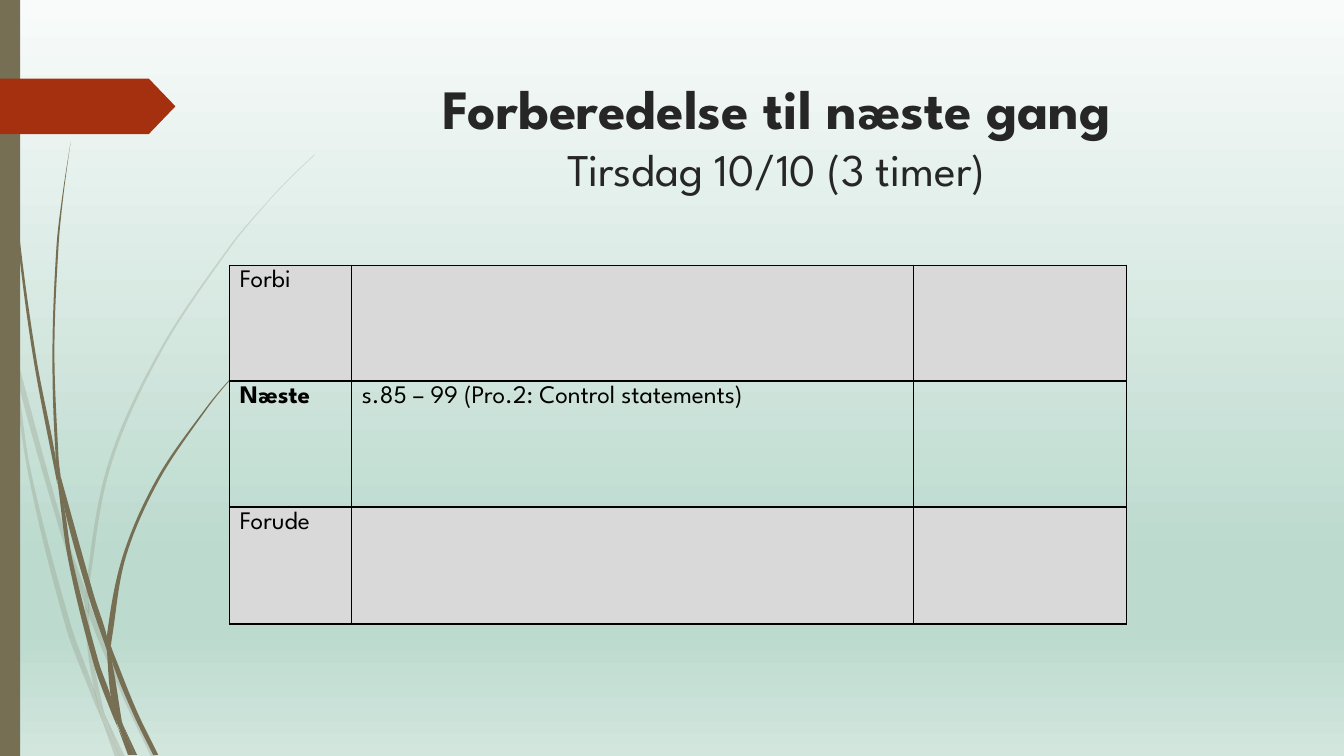
import lxml.etree
import pptx
import pptx.dml.color
import pptx.enum.shapes
import pptx.enum.text
import pptx.oxml.ns
import pptx.util

Inches = pptx.util.Inches
Pt = pptx.util.Pt
RGBColor = pptx.dml.color.RGBColor
qn = pptx.oxml.ns.qn

WIDTH, HEIGHT = 13.33, 7.5
FONT = "League Spartan"
OLIVE = RGBColor(0x76, 0x6F, 0x54)
RUST = RGBColor(0xA5, 0x30, 0x10)
CHARCOAL = RGBColor(0x26, 0x26, 0x26)
BLACK = RGBColor(0, 0, 0)
GREY = RGBColor(0xD9, 0xD9, 0xD9)
MINT = RGBColor(0xBC, 0xDA, 0xCE)
BACKGROUND_STOPS = [(0, RGBColor(0xF8, 0xFB, 0xFA)), (74, MINT), (83, MINT),
                    (100, RGBColor(0xD2, 0xE6, 0xDE))]

# Each piece of grass: its left edge and its right edge, both from top to bottom.
FAINT_GRASS = [
    ([(0, 2.99), (0.1, 3.44), (0.11, 3.5)], [(0, 2.82), (0.09, 3.22), (0.11, 3.5)]),
    ([(0.14, 3.45), (0.17, 3.76), (0.58, 5.22), (0.84, 5.99)],
     [(0.14, 3.45), (0.62, 5.2), (0.85, 5.86)]),
    ([(0.88, 5.96), (0.88, 6.1), (1.23, 6.94), (1.5, 7.51)],
     [(0.88, 5.96), (0.92, 6.07), (1.27, 6.92), (1.55, 7.51)]),
    ([(1.05, 7.11), (1.19, 7.51)], [(1.05, 7.11), (1.24, 7.51)]),
    ([(0.11, 3.5), (0.28, 4.7), (0.65, 6.21), (0.92, 6.93), (1.01, 7.14)],
     [(0.11, 3.5), (0.17, 3.76), (0.31, 4.69), (0.7, 6.19), (0.93, 6.83), (1.01, 7.14)]),
    ([(0.84, 5.99), (0.87, 6.46), (0.93, 6.83), (0.96, 6.92), (1.05, 7.11)],
     [(0.84, 5.99), (0.88, 6.1), (0.91, 6.46), (1.03, 7.06), (1.05, 7.11)]),
    ([(3.12, 1.53), (2.89, 1.75), (2.68, 1.97), (2.28, 2.44), (1.58, 3.48),
      (1.07, 4.61), (0.85, 5.84), (0.88, 5.96)],
     [(3.12, 1.54), (2.9, 1.75), (2.68, 1.98), (2.29, 2.45), (1.6, 3.49),
      (1.1, 4.62), (0.88, 5.84), (0.88, 5.96)]),
    ([(1.01, 7.14), (1.14, 7.51)], [(1.01, 7.14), (1.19, 7.51)]),
    ([(0.85, 5.86), (0.84, 5.99), (0.88, 6.1)], [(0.85, 5.86), (0.88, 5.96), (0.88, 6.1)]),
    ([(0.93, 6.83), (0.99, 7.07), (1.01, 7.14), (1.19, 7.51)],
     [(0.93, 6.83), (0.96, 6.92), (1.05, 7.11), (1.19, 7.51)]),
]
SOLID_GRASS = [
    ([(0.03, 0), (0.04, 0.48), (0.07, 1.1), (0.17, 2.33), (0.33, 3.55), (0.57, 4.81)],
     [(0.04, 0), (0.05, 0.48), (0.08, 1.09), (0.19, 2.32), (0.36, 3.55), (0.55, 4.53),
      (0.57, 4.81)]),
    ([(0.6, 4.72), (0.64, 5.05), (0.88, 5.92), (1.06, 6.45)],
     [(0.6, 4.72), (0.93, 5.9), (1.06, 6.31), (1.06, 6.45)]),
    ([(1.1, 6.41), (1.11, 6.56), (1.32, 7.08), (1.52, 7.49)],
     [(1.1, 6.41), (1.13, 6.49), (1.36, 7.06), (1.57, 7.49)]),
    ([(0.57, 4.77), (0.68, 5.57), (0.93, 6.59), (1.11, 7.08), (1.17, 7.22)],
     [(0.57, 4.77), (0.64, 5.05), (0.72, 5.56), (0.98, 6.57), (1.1, 6.91), (1.17, 7.22)]),
    ([(0.7, 1.41), (0.62, 1.93), (0.56, 2.45), (0.52, 3.49), (0.55, 4.49), (0.6, 4.72)],
     [(0.7, 1.41), (0.63, 1.93), (0.58, 2.45), (0.54, 3.49), (0.58, 4.53), (0.6, 4.72)]),
    ([(1.22, 7.19), (1.33, 7.49)], [(1.22, 7.19), (1.36, 7.49)]),
    ([(0.55, 4.49), (0.57, 4.77), (0.64, 5.05)], [(0.55, 4.49), (0.6, 4.72), (0.64, 5.05)]),
    ([(2.6, 3.44), (2.31, 3.73), (2.04, 4.05), (1.56, 4.74), (1.22, 5.51),
      (1.06, 6.31), (1.1, 6.41)],
     [(2.61, 3.44), (2.31, 3.74), (2.05, 4.06), (1.58, 4.76), (1.25, 5.52),
      (1.11, 6.33), (1.1, 6.41)]),
    ([(1.17, 7.22), (1.27, 7.49)], [(1.17, 7.22), (1.31, 7.49)]),
    ([(1.06, 6.45), (1.1, 6.91), (1.16, 7.06), (1.22, 7.19)],
     [(1.06, 6.45), (1.11, 6.56), (1.21, 7.16), (1.22, 7.19)]),
    ([(1.06, 6.31), (1.06, 6.45), (1.11, 6.56)], [(1.06, 6.31), (1.1, 6.41), (1.11, 6.56)]),
    ([(1.1, 6.91), (1.16, 7.17), (1.3, 7.49)], [(1.1, 6.91), (1.22, 7.19), (1.33, 7.49)]),
]

TABLE_ROWS = [("Forbi", "", ""),
              ("Næste", "s.85 – 99 (Pro.2: Control statements)", ""),
              ("Forude", "", "")]
COLUMN_WIDTHS = [1.21, 5.57, 2.11]
ROW_HEIGHTS = [1.15, 1.25, 1.16]
NEXT_ROW = 1


def set_font(font, color, **values):
    font.color.rgb = color
    for name, value in {"name": FONT, **values}.items():
        setattr(font, name, value)


def paint(shape, color, opacity=100):
    shape.shadow.inherit = False
    shape.line.fill.background()
    shape.fill.solid()
    shape.fill.fore_color.rgb = color
    if opacity < 100:
        color_element = shape.fill._xPr.find(qn("a:solidFill"))[0]
        lxml.etree.SubElement(color_element, qn("a:alpha")).set("val", str(opacity * 1000))


def edge_controls(points):
    """Return the two control points of each smooth curve along an edge."""
    slopes = []
    for index in range(len(points)):
        (x1, y1), *_, (x2, y2) = points[max(index - 1, 0):index + 2]
        slopes.append((x2 - x1) / (y2 - y1))
    controls = []
    for index, ((x1, y1), (x2, y2)) in enumerate(zip(points, points[1:])):
        third = (y2 - y1) / 3
        controls.append([(x1 + slopes[index] * third, y1 + third),
                         (x2 - slopes[index + 1] * third, y2 - third)])
    return controls


def draw_blade(slide, left_edge, right_edge, opacity):
    outline = [(Inches(x), Inches(y)) for x, y in left_edge + right_edge[::-1]]
    builder = slide.shapes.build_freeform(*outline[0])
    builder.add_line_segments(outline[1:], close=True)
    blade = builder.convert_to_shape()
    upward = [pair[::-1] for pair in edge_controls(right_edge)[::-1]]
    curves = edge_controls(left_edge) + [None] + upward
    segments = blade._element.findall(".//" + qn("a:lnTo"))
    for segment, controls in zip(segments, curves):
        if controls:
            segment.tag = qn("a:cubicBezTo")
            for index, (x, y) in enumerate(controls):
                point = lxml.etree.Element(qn("a:pt"), x=str(Inches(x) - blade.left),
                                           y=str(Inches(y) - blade.top))
                segment.insert(index, point)
    paint(blade, OLIVE, opacity)


def draw_grass(slide):
    for pieces, opacity in ((FAINT_GRASS, 20), (SOLID_GRASS, 100)):
        for left_edge, right_edge in pieces:
            draw_blade(slide, left_edge, right_edge, opacity)


def draw_background(slide):
    fill = slide.background.fill
    fill.gradient()
    fill.gradient_angle = 270
    stop_list = slide._element.find(".//" + qn("a:gsLst"))
    for stop in list(stop_list):
        stop_list.remove(stop)
    for position, color in BACKGROUND_STOPS:
        stop = lxml.etree.SubElement(stop_list, qn("a:gs"), pos=str(position * 1000))
        lxml.etree.SubElement(stop, qn("a:srgbClr"), val=str(color))


def draw_side_bar(slide, left, top, width, height):
    presets = pptx.enum.shapes.MSO_SHAPE
    bar = slide.shapes.add_shape(presets.RECTANGLE, *map(Inches, (left, top, width, height)))
    paint(bar, OLIVE)
    arrow = slide.shapes.add_shape(
        presets.PENTAGON, *map(Inches, (left, top + 0.78, 1.74, 0.55)))
    arrow.adjustments[0] = 0.48
    paint(arrow, RUST)


def draw_title(slide, left, top, width, height):
    frame = slide.shapes.add_textbox(*map(Inches, (left, top, width, height))).text_frame
    frame.word_wrap = True
    paragraph = frame.paragraphs[0]
    paragraph.alignment = pptx.enum.text.PP_ALIGN.CENTER
    heading = paragraph.add_run()
    heading.text = "Forberedelse til næste gang"
    set_font(heading.font, CHARCOAL, size=Pt(39.6), bold=True)
    paragraph.add_line_break()
    date = paragraph.add_run()
    date.text = "Tirsdag 10/10 (3 timer)"
    set_font(date.font, CHARCOAL, size=Pt(32.4), bold=False)


def add_borders(cell):
    properties = cell._tc.get_or_add_tcPr()
    for index, side in enumerate(("lnL", "lnR", "lnT", "lnB")):
        line = lxml.etree.Element(qn("a:" + side), w=str(Pt(1)))
        fill = lxml.etree.SubElement(line, qn("a:solidFill"))
        lxml.etree.SubElement(fill, qn("a:srgbClr"), val=str(BLACK))
        properties.insert(index, line)


def draw_plan(slide, left, top):
    size = sum(COLUMN_WIDTHS), sum(ROW_HEIGHTS)
    table = slide.shapes.add_table(
        len(ROW_HEIGHTS), len(COLUMN_WIDTHS), *map(Inches, (left, top, *size))).table
    table.first_row = table.horz_banding = False
    for column, width in zip(table.columns, COLUMN_WIDTHS):
        column.width = Inches(width)
    for row_index, texts in enumerate(TABLE_ROWS):
        table.rows[row_index].height = Inches(ROW_HEIGHTS[row_index])
        for column_index, text in enumerate(texts):
            cell = table.cell(row_index, column_index)
            add_borders(cell)
            if row_index == NEXT_ROW:
                cell.fill.background()
            else:
                cell.fill.solid()
                cell.fill.fore_color.rgb = GREY
            cell.text = text
            is_next = row_index == NEXT_ROW and column_index == 0
            set_font(cell.text_frame.paragraphs[0].font, BLACK, size=Pt(18), bold=is_next)


def main():
    presentation = pptx.Presentation()
    presentation.slide_width, presentation.slide_height = Inches(WIDTH), Inches(HEIGHT)
    slide = presentation.slides.add_slide(presentation.slide_layouts[6])
    draw_background(slide)
    draw_grass(slide)
    draw_side_bar(slide, 0, 0, 0.2, HEIGHT)
    draw_title(slide, 2.83, 0.69, 9.75, 1.4)
    draw_plan(slide, 2.28, 2.63)
    presentation.save("out.pptx")


if __name__ == "__main__":
    main()
